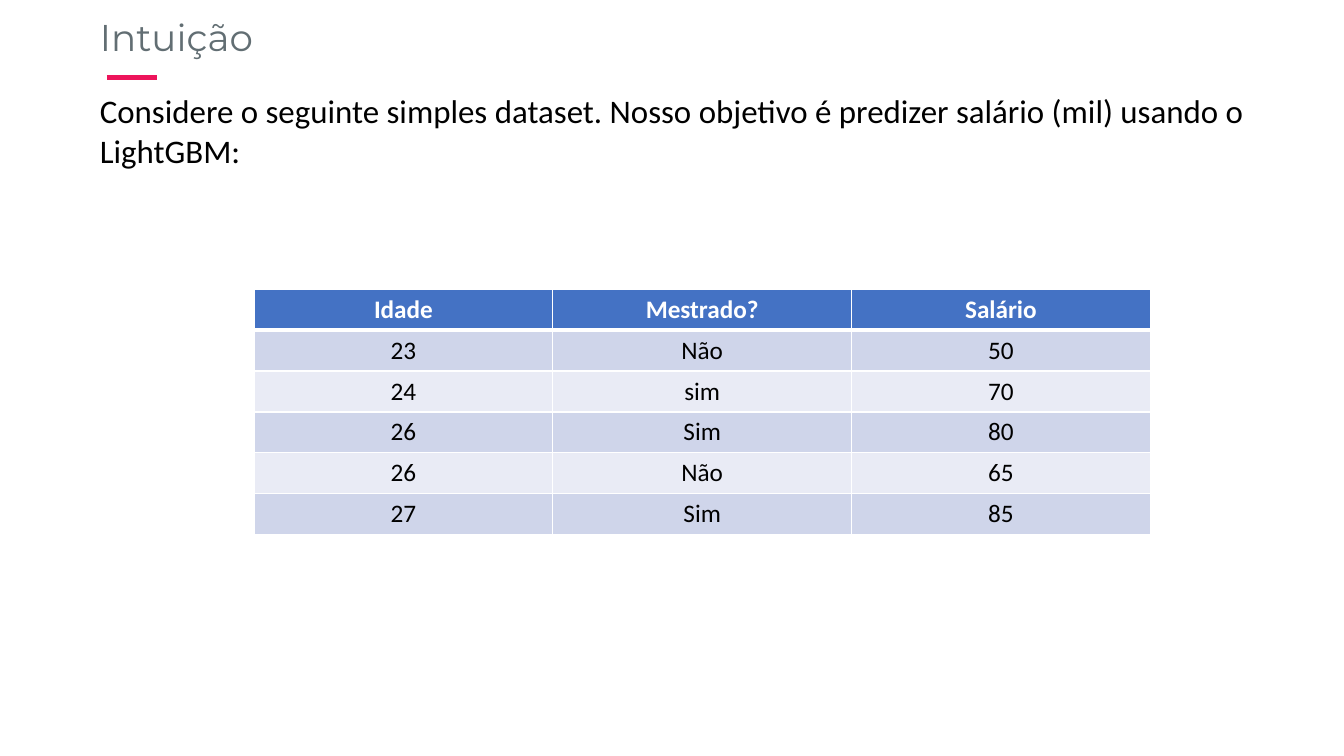
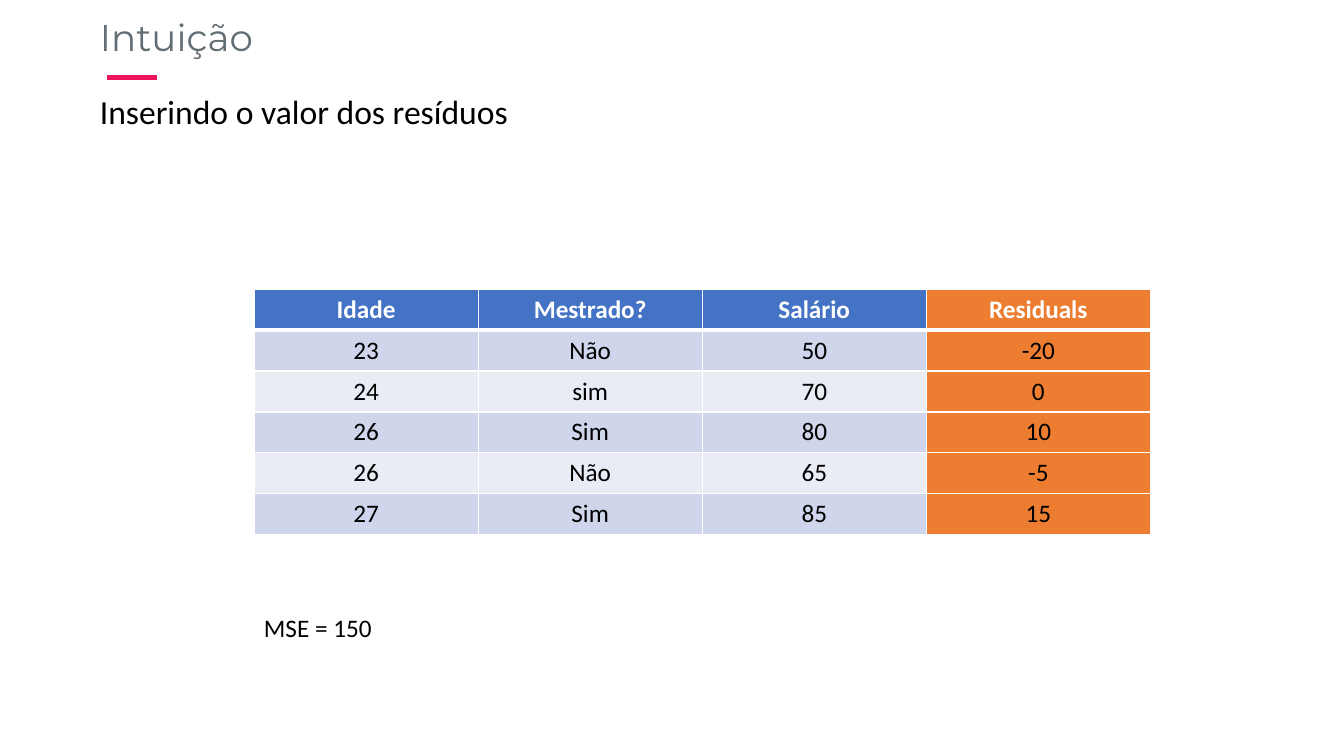
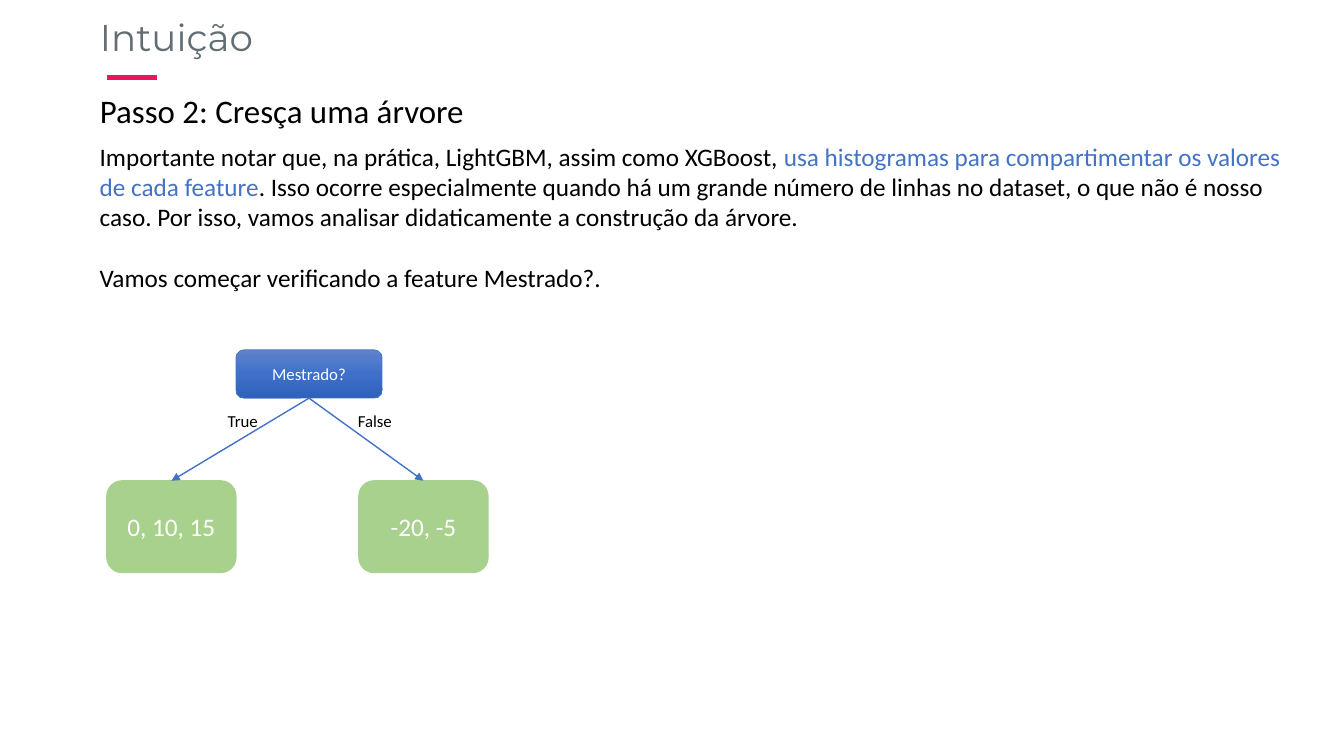
from copy import deepcopy
from dataclasses import dataclass

from lxml import etree
from pptx import Presentation
from pptx import util as u
from pptx.dml.color import RGBColor
from pptx.enum import shapes, text
from pptx.oxml.ns import qn


@dataclass(frozen=True)
class Theme:
    # Fonts
    title_font: str = "Montserrat"
    body_font: str = "Calibri"
    # Colours
    title: str = "626E73"
    accent: str = "ED145B"
    ink: str = "000000"
    white: str = "FFFFFF"
    blue: str = "4472C4"
    orange: str = "ED7D31"
    bands: tuple = ("CFD5EA", "E9EBF5")
    leaf: str = "A9D18E"
    root_gradient: tuple = ("6183CB", "3E70CA", "3062BB")
    # Type sizes
    title_size: float = 26.6
    statement_size: float = 23.5
    large_statement_size: float = 24
    text_size: float = 18
    label_size: float = 12


THEME = Theme()
LEFT_MARGIN = 0.89
TABLE_BOX = (2.52, 2.87, 8.89, 2.43)
DATASET = [
    ("Idade", "Mestrado?", "Salário"),
    ("23", "Não", "50"),
    ("24", "sim", "70"),
    ("26", "Sim", "80"),
    ("26", "Não", "65"),
    ("27", "Sim", "85"),
]
RESIDUALS = ("Residuals", "-20", "0", "10", "-5", "15")


def rgb(colour):
    return RGBColor.from_string(colour)


def place(shape, left, top, width, height):
    shape.left, shape.top = u.Inches(left), u.Inches(top)
    shape.width, shape.height = u.Inches(width), u.Inches(height)


def format_text(frame, size, colour=THEME.ink, font=THEME.body_font,
                align=text.PP_ALIGN.LEFT, bold=False):
    for paragraph in frame.paragraphs:
        paragraph.alignment = align
        for run in paragraph.runs:
            run.font.name = font
            run.font.size = u.Pt(size)
            run.font.bold = bold
            run.font.color.rgb = rgb(colour)


def add_text(slide, box, content, size, wrap=True):
    textbox = slide.shapes.add_textbox(*map(u.Inches, box))
    frame = textbox.text_frame
    frame.word_wrap = wrap
    frame.text = content
    format_text(frame, size)
    return frame


def add_line(slide, start, end, colour, width):
    line = slide.shapes.add_connector(
        shapes.MSO_CONNECTOR.STRAIGHT, *map(u.Inches, (*start, *end)))
    line.line.color.rgb = rgb(colour)
    line.line.width = u.Pt(width)
    etree.SubElement(line._element.spPr, qn("a:effectLst"))
    return line


def fill_placeholder(shape, box, content, size, **style):
    place(shape, *box)
    frame = shape.text_frame
    frame.text = content
    frame.word_wrap = True
    frame.auto_size = text.MSO_AUTO_SIZE.NONE
    frame.vertical_anchor = text.MSO_ANCHOR.TOP
    format_text(frame, size, **style)
    return frame


def add_intuition_slide(presentation, statement, height, size):
    """Slide with the shared title, accent rule and opening statement."""
    slide = presentation.slides.add_slide(presentation.slide_layouts[1])
    fill_placeholder(slide.shapes.title, (LEFT_MARGIN, 0.09, 6.66, 0.55), "Intuição",
                     THEME.title_size, colour=THEME.title, font=THEME.title_font)
    add_line(slide, (1.06, 0.77), (1.56, 0.77), THEME.accent, 4)
    frame = fill_placeholder(slide.placeholders[1], (LEFT_MARGIN, 0.85, 12.14, height),
                             statement, size)
    paragraph = frame.paragraphs[0]
    properties = paragraph._p.get_or_add_pPr()
    properties.set("marL", "0")
    properties.set("indent", "0")
    etree.SubElement(properties, qn("a:buNone"))
    paragraph.space_before = u.Pt(0)
    return slide


def set_borders(cell, top, bottom):
    properties = cell._tc.get_or_add_tcPr()
    for side, width in (("L", 1), ("R", 1), ("T", top), ("B", bottom)):
        border = etree.SubElement(properties, qn(f"a:ln{side}"), w=str(u.Pt(width)))
        solid = etree.SubElement(border, qn("a:solidFill"))
        etree.SubElement(solid, qn("a:srgbClr"), val=THEME.white)


def add_data_table(slide, box, rows, highlight=None):
    """Banded table; the highlight column is orange throughout."""
    columns = len(rows[0])
    table = slide.shapes.add_table(len(rows), columns, *map(u.Inches, box)).table
    for row_index, row in enumerate(rows):
        header = row_index == 0
        row_fill = THEME.blue if header else THEME.bands[(row_index - 1) % 2]
        for column_index, value in enumerate(row):
            cell = table.cell(row_index, column_index)
            cell.text_frame.text = value
            format_text(cell.text_frame, THEME.text_size,
                        THEME.white if header else THEME.ink,
                        align=text.PP_ALIGN.CENTER, bold=header)
            set_borders(cell, top=3 if row_index == 1 else 1, bottom=3 if header else 1)
            cell.fill.solid()
            cell.fill.fore_color.rgb = rgb(
                THEME.orange if column_index == highlight else row_fill)


def add_node(slide, box, content, size, line_colour, line_width):
    node = slide.shapes.add_shape(
        shapes.MSO_SHAPE.ROUNDED_RECTANGLE, *map(u.Inches, box))
    node.shadow.inherit = False
    node.line.color.rgb = rgb(line_colour)
    node.line.width = u.Pt(line_width)
    node.text_frame.text = content
    node.text_frame.vertical_anchor = text.MSO_ANCHOR.MIDDLE
    format_text(node.text_frame, size, THEME.white, align=text.PP_ALIGN.CENTER)
    return node


def apply_gradient(shape, colours):
    shape.fill.gradient()
    shape.fill.gradient_angle = 270
    stop_list = shape._element.spPr.find(".//" + qn("a:gsLst"))
    stop_list.insert(1, deepcopy(stop_list[0]))
    for index, (stop, colour) in enumerate(zip(shape.fill.gradient_stops, colours)):
        stop.position = index / (len(colours) - 1)
        stop.color.rgb = rgb(colour)


def add_tree(slide, left, top):
    """Decision tree with one root and two leaves."""
    root = add_node(slide, (left + 1.28, top, 1.45, 0.48), "Mestrado?",
                    THEME.label_size, THEME.blue, 0.5)
    apply_gradient(root, THEME.root_gradient)
    branches = (("True", 1.1, 0.51, "0, 10, 15"), ("False", 2.39, 0.58, "-20, -5"))
    for index, (answer, label_left, label_width, values) in enumerate(branches):
        leaf = add_node(slide, (left + index * 2.5, top + 1.3, 1.28, 0.91), values,
                        THEME.text_size, THEME.leaf, 1)
        leaf.fill.solid()
        leaf.fill.fore_color.rgb = rgb(THEME.leaf)
        arrow = add_line(slide, (0, 0), (1, 1), THEME.blue, 1)
        arrow.begin_connect(root, 2)
        arrow.end_connect(leaf, 0)
        etree.SubElement(arrow.line._get_or_add_ln(), qn("a:tailEnd"), type="triangle")
        add_text(slide, (left + label_left, top + 0.56, label_width, 0.3), answer,
                 THEME.label_size, wrap=False)


def add_explanation(slide, box):
    frame = add_text(
        slide, box, "Importante notar que, na prática, LightGBM, assim como XGBoost, ",
        THEME.text_size)
    first = frame.paragraphs[0]
    first.add_run().text = "usa histogramas para compartimentar os valores de cada feature"
    first.add_run().text = (
        ". Isso ocorre especialmente quando há um grande número de linhas no dataset, "
        "o que não é nosso caso. Por isso, vamos analisar didaticamente a construção "
        "da árvore.")
    second = frame.add_paragraph()
    second.text = "Vamos começar verificando a feature Mestrado?."
    second.space_before = u.Pt(22)
    format_text(frame, THEME.text_size)
    first.runs[1].font.color.rgb = rgb(THEME.blue)


def main():
    presentation = Presentation()
    presentation.slide_width = u.Inches(13.33)
    presentation.slide_height = u.Inches(7.5)

    # Dataset
    slide = add_intuition_slide(
        presentation,
        "Considere o seguinte simples dataset. Nosso objetivo é predizer salário (mil) "
        "usando o LightGBM:", 0.89, THEME.statement_size)
    add_data_table(slide, TABLE_BOX, DATASET)

    # Residuals
    slide = add_intuition_slide(presentation, "Inserindo o valor dos resíduos", 0.5,
                                THEME.large_statement_size)
    rows = [(*row, residual) for row, residual in zip(DATASET, RESIDUALS)]
    add_data_table(slide, TABLE_BOX, rows, highlight=3)
    add_text(slide, (TABLE_BOX[0], 6.03, 2.36, 0.42), "MSE = 150", THEME.text_size)

    # Tree growth
    slide = add_intuition_slide(presentation, "Passo 2: Cresça uma árvore", 0.5,
                                THEME.statement_size)
    add_explanation(slide, (LEFT_MARGIN, 1.35, 12.04, 1.62))
    add_tree(slide, 1.06, 3.47)

    presentation.save("out.pptx")


if __name__ == "__main__":
    main()
